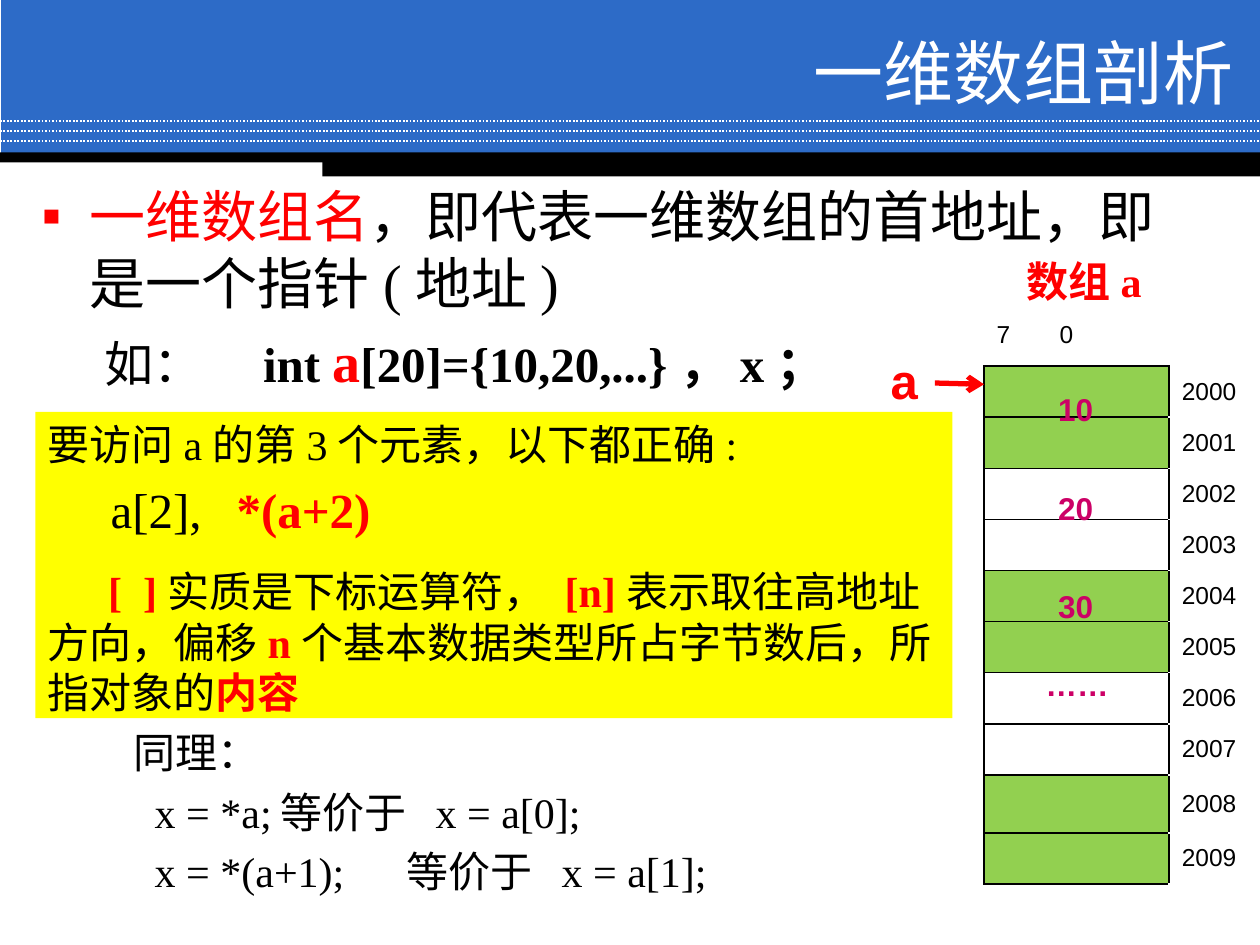
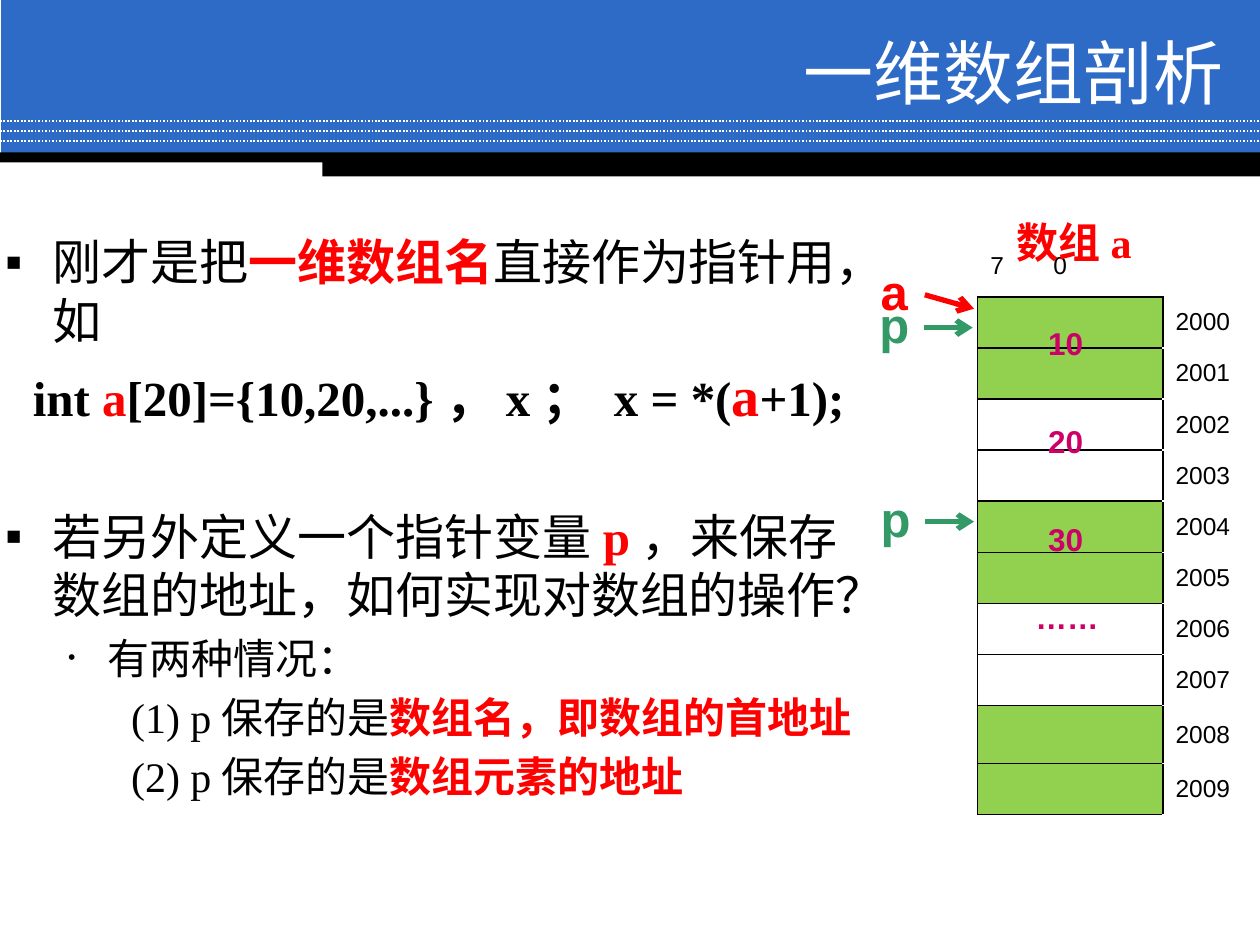
from pptx import Presentation
from pptx import util as u
from pptx.dml.color import RGBColor
from pptx.enum import dml, lang, shapes, text
from pptx.oxml import ns
from lxml import etree

WIDTH, HEIGHT = u.Inches(10), u.Inches(7.5)
UNIT = WIDTH // 10  # grid step: a tenth of the slide width

BLUE = RGBColor(0x2D, 0x6B, 0xC7)
WHITE = RGBColor(0xFF, 0xFF, 0xFF)
BLACK = RGBColor(0, 0, 0)
RED = RGBColor(0xFF, 0, 0)
YELLOW = RGBColor(0xFF, 0xFF, 0)
LIGHT_GREEN = RGBColor(0x92, 0xD0, 0x50)
GREEN = RGBColor(0x33, 0x99, 0x66)
PINK = RGBColor(0xCC, 0, 0x66)

SANS, SERIF, CHINESE = "Arial", "Times New Roman", "Noto Sans CJK SC"
STRONG = {"color": RED, "bold": True}
TITLE = "一维数组剖析"
FIRST_ADDRESS = 2000
ROW_HEIGHTS = [0.33] + [0.4] * 8 + [0.46, 0.4]


def grid(*counts):
    """Turn counts of grid steps into slide lengths."""
    return [round(count * UNIT) for count in counts]


def sub(parent, tag, **attributes):
    return etree.SubElement(parent, ns.qn(tag), attributes)


def add_span(para, words, size=24, color=BLACK, bold=False, font=SERIF):
    span = para.add_run()
    span.text = words
    span.font.size = u.Pt(size)
    span.font.color.rgb = color
    span.font.bold = bold
    span.font.name = font
    span.font.language_id = lang.MSO_LANGUAGE_ID.SIMPLIFIED_CHINESE


def add_para(frame, *spans, left=0, first=0, before=None, bullet=None,
             bullet_size=100, tabs=(), level=0, align=text.PP_ALIGN.LEFT, **base):
    """Add a paragraph; a span is a string or (string, format over base)."""
    para = frame.paragraphs[0]
    if para.runs:
        para = frame.add_paragraph()
        gap = round(0.22 * base.get("size", 24)) if before is None else before
    else:
        gap = before or 0
    para.level = level
    para.alignment = align
    para.space_before = u.Pt(gap)
    props = para._p.get_or_add_pPr()
    for name, count in (("marL", left), ("indent", first)):
        props.set(name, str(grid(count)[0]))
    if bullet:
        sub(props, "a:buSzPct", val=str(bullet_size * 1000))
        sub(props, "a:buFont", typeface=SANS)
        sub(props, "a:buChar", char=bullet)
    else:
        sub(props, "a:buNone")
    if tabs:
        stops = sub(props, "a:tabLst")
        for stop in grid(*tabs):
            sub(stops, "a:tab", pos=str(stop), algn="l")
    for item in spans:
        words, extra = (item, {}) if isinstance(item, str) else item
        add_span(para, words, **{**base, **extra})


def open_frame(holder, anchor=text.MSO_ANCHOR.TOP):
    frame = holder.text_frame
    frame.word_wrap = True
    frame.auto_size = text.MSO_AUTO_SIZE.NONE
    frame.vertical_anchor = anchor
    return frame


def add_box(page, *area):
    return open_frame(page.shapes.add_textbox(*grid(*area)))


def add_label(page, words, *area, **style):
    add_para(add_box(page, *area), words, **style)


def add_rect(page, color, *area):
    rect = page.shapes.add_shape(shapes.MSO_SHAPE.RECTANGLE, *grid(*area))
    rect.shadow.inherit = False
    rect.fill.solid()
    rect.fill.fore_color.rgb = color
    rect.line.fill.background()
    return rect


def add_line(page, start, end, color, width, dash=None, arrow=False):
    line = page.shapes.add_connector(
        shapes.MSO_CONNECTOR.STRAIGHT, *grid(*start, *end))
    line.line.color.rgb = color
    line.line.width = u.Pt(width)
    if dash:
        line.line.dash_style = dash
    props = line.element.spPr
    if arrow:
        sub(props.find(ns.qn("a:ln")), "a:tailEnd", type="arrow")
    sub(props, "a:effectLst")
    return line


def add_banner(page):
    """Draw the header band and hand it to the layout, for every slide."""
    band = [add_rect(page, BLUE, 0.01, 0, 9.99, 1.23)]
    band += [add_line(page, (0, y), (10, y), WHITE, 1, dml.MSO_LINE.ROUND_DOT)
             for y in (0.96, 1.04, 1.12)]
    band += [add_rect(page, BLACK, 0, 1.21, 10, 0.08),
             add_rect(page, BLACK, 2.56, 1.24, 7.44, 0.16)]
    tree = page.slide_layout.shapes.element
    for place, part in enumerate(band, start=2):
        tree.insert(place, part.element)


def fill_placeholder(holder, *area, anchor=text.MSO_ANCHOR.TOP):
    holder.left, holder.top, holder.width, holder.height = grid(*area)
    return open_frame(holder, anchor)


def set_title(page, left):
    frame = fill_placeholder(page.shapes.title, left, 0.28, 6.92, 0.58,
                             anchor=text.MSO_ANCHOR.MIDDLE)
    add_para(frame, TITLE, size=40, color=WHITE, font=CHINESE,
             align=text.PP_ALIGN.RIGHT)


def format_cell(cell, words="", fill=None, borders="", **style):
    if fill is None:
        cell.fill.background()
    else:
        cell.fill.solid()
        cell.fill.fore_color.rgb = fill
    props = cell._tc.get_or_add_tcPr()
    for place, side in enumerate(borders):
        edge = etree.Element(ns.qn(f"a:ln{side}"), w=str(u.Pt(1)))
        sub(sub(edge, "a:solidFill"), "a:srgbClr", val=str(BLACK))
        props.insert(place, edge)
    if words:
        add_para(cell.text_frame, words, size=14, font=SANS, **style)


def add_memory(page, left, top):
    """Draw the bytes of the array, two per element, with their addresses."""
    rows = len(ROW_HEIGHTS)
    table = page.shapes.add_table(
        rows, 2, *grid(left, top, 3.36, sum(ROW_HEIGHTS))).table
    table.first_row = table.horz_banding = False
    table.columns[0].width, table.columns[1].width = grid(1.47, 1.89)
    for row, height in zip(table.rows, grid(*ROW_HEIGHTS)):
        row.height = height
    format_cell(table.cell(0, 0), "7\t0", borders="B", tabs=[1.14])
    format_cell(table.cell(0, 1))
    for row in range(1, rows):
        shaded = (row - 1) // 2 % 2 == 0
        format_cell(table.cell(row, 0), fill=LIGHT_GREEN if shaded else None,
                    borders="LRTB")
        address = table.cell(row, 1)
        format_cell(address, str(FIRST_ADDRESS + row - 1), borders="L")
        address.vertical_anchor = text.MSO_ANCHOR.MIDDLE


def add_values(page, left, top):
    for index, value in enumerate(("10", "20", "30")):
        add_label(page, value, left, top + 0.78 * index, 0.62, 0.4,
                  size=18, color=PINK, bold=True, font=SANS)
    add_label(page, "……", left - 0.1, top + 2.18, 0.78, 0.4,
              size=18, color=PINK, bold=True, font=SANS)


def add_pointer(page, name, color, left, top, end=None):
    add_label(page, name, left, top, 0.31, 0.57,
              size=28, color=color, bold=True, font=SANS)
    tip = top + 0.31
    add_line(page, (left + 0.45, tip), (left + 0.84, end or tip), color, 3,
             arrow=True)


def add_array_name(page, left, top):
    add_label(page, "数组a", left, top, 1.16, 0.5, **STRONG)


def build_name_page(page):
    set_title(page, 2.97)
    body = fill_placeholder(page.placeholders[1], 0.23, 1.39, 9.3, 1.92)
    add_para(body, ("一维数组名", {"color": RED}),
             "，即代表一维数组的首地址，即是一个指针(地址)",
             size=32, left=0.38, first=-0.38, bullet="▪")
    add_para(body, ("如：　", {"bold": False}), "int ",
             ("a", {"size": 32, "color": RED}), "[20]={10,20,...}，x；",
             size=28, bold=True, level=1, left=0.81, first=-0.31)

    same = add_box(page, 0.63, 5.72, 6.36, 1.78)
    add_para(same, "同理：", left=0.33)
    add_para(same, "\tx = *a;\t等价于  x = a[0];", tabs=[1.16, 2.88])
    add_para(same, "\tx = *(a+1);\t等价于  x = a[1];", tabs=[1.16, 3])

    add_memory(page, 7.81, 2.5)
    add_values(page, 8.3, 3.05)
    add_pointer(page, "a", RED, 6.97, 2.73, end=3.05)

    access = open_frame(add_rect(page, YELLOW, 0.28, 3.27, 7.28, 2.43))
    add_para(access, "要访问a的第3个元素，以下都正确:", left=0.38, first=-0.38)
    add_para(access, "\ta[2],\t", ("*(a+2)", STRONG), size=28, tabs=[1.5, 2.52])
    add_para(access, ("[  ]", STRONG), "实质是下标运算符， ", ("[n]", STRONG),
             "表示取往高地址方向，偏移", ("n", STRONG),
             "个基本数据类型所占字节数后，所指对象的", ("内容", STRONG),
             first=0.48, before=16)
    add_array_name(page, 8.05, 1.98)


def build_pointer_page(page):
    set_title(page, 2.89)
    body = fill_placeholder(page.placeholders[1], -0.06, 1.79, 7.04, 5.58)
    point = {"size": 28, "left": 0.38, "first": -0.38, "bullet": "▪"}
    add_para(body, "刚才是把", ("一维数组名", STRONG), "直接作为指针用，如", **point)
    add_para(body, "int ", ("a", STRONG), "[20]={10,20,...}，x； x = *(",
             ("a", {"size": 32, "color": RED}), "+1);",
             size=28, bold=True, left=0.22)
    add_para(body, "若另外定义一个指针变量", ("p", STRONG),
             "，来保存数组的地址，如何实现对数组的操作？", before=45, **point)
    add_para(body, "有两种情况：", level=1, left=0.81, first=-0.31,
             bullet="•", bullet_size=50)
    for number, target in enumerate(("数组名，即数组的首地址", "数组元素的地址"), 1):
        add_para(body, f"({number}) p保存的是", (target, STRONG), level=2, left=1)

    add_memory(page, 7.76, 1.95)
    add_values(page, 8.22, 2.52)
    add_pointer(page, "a", RED, 6.89, 2.03, end=2.45)
    add_pointer(page, "p", GREEN, 6.88, 2.29)
    add_pointer(page, "p", GREEN, 6.89, 3.83)
    add_array_name(page, 7.97, 1.67)


def main():
    deck = Presentation()
    deck.slide_width, deck.slide_height = WIDTH, HEIGHT
    layout = deck.slide_layouts[1]
    name_page, pointer_page = (deck.slides.add_slide(layout) for _ in range(2))
    add_banner(name_page)
    build_name_page(name_page)
    build_pointer_page(pointer_page)
    deck.save("out.pptx")


if __name__ == "__main__":
    main()
